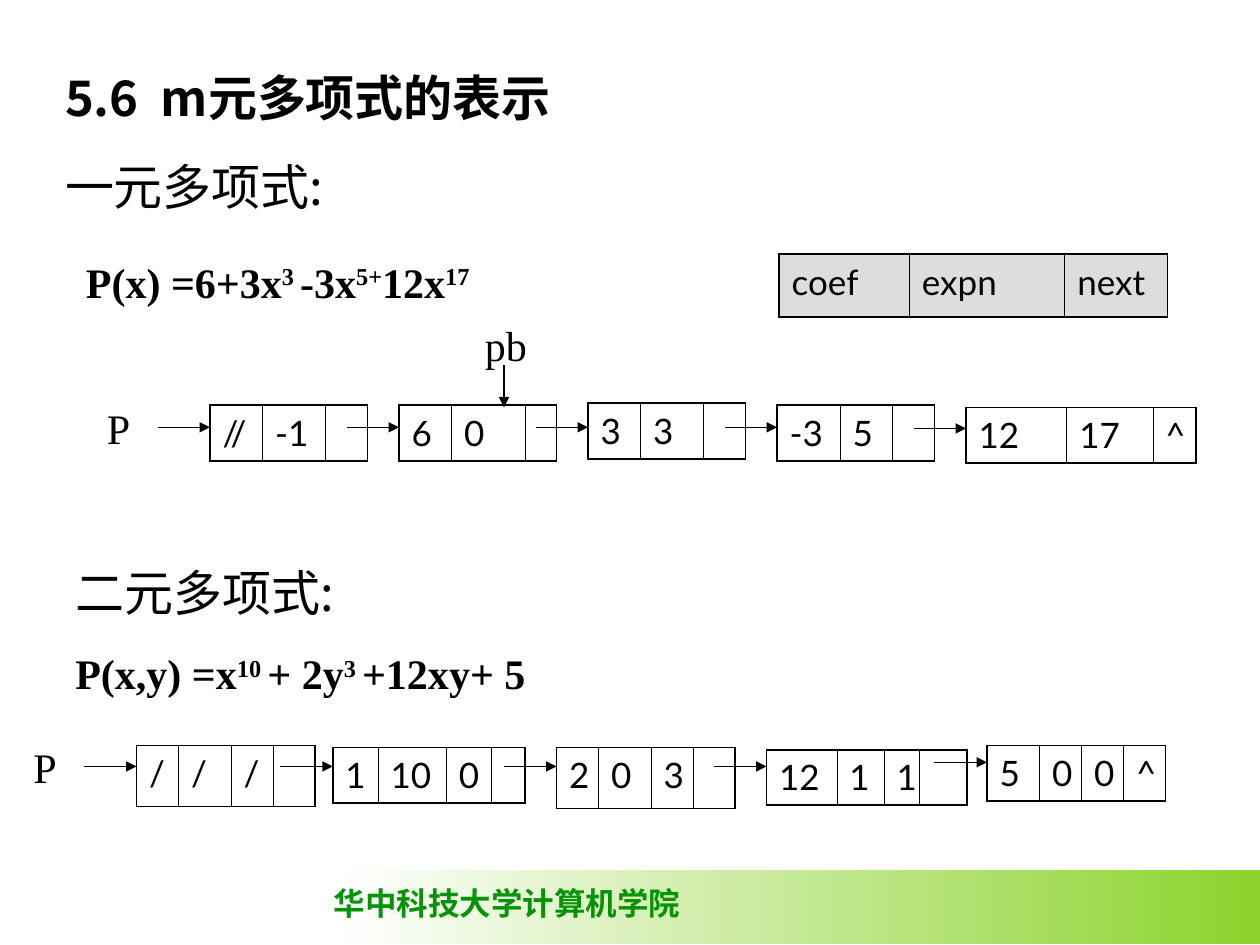
import pptx
import pptx.util
import pptx.dml.color
import pptx.enum.shapes
import pptx.enum.text
import pptx.oxml
import pptx.oxml.ns
from lxml import etree

COLORS = {"ink": "000000", "paper": "FFFFFF", "header": "DDDDDD",
          "leaf": "8CD32D", "school": "069406"}
SERIF, SANS, CJK = "Times New Roman", "Lato", "Noto Sans CJK SC"

# Places are in grid units: the slide is 120 columns by 90 rows
COLUMNS, ROWS = 120, 90
WIDTH, HEIGHT = pptx.util.Inches(10), pptx.util.Inches(7.5)
ARROW_LENGTH = 5

# Paragraphs: (runs, size, font, bold, space before); "^" marks a superscript run
TITLE = [(["5.6  m元多项式的表示"], 28, CJK, True, 0),
         (["一元多项式:"], 28, CJK, False, 17.5)]
TEXTS = [
    ((7, 23.8, 50, 6.7),
     [(["P(x) =6+3x", "^3 ", "-3x", "^5+", "12x", "^17"], 24, SERIF, True, 0)]),
    ((6, 53, 107, 14.8),
     [(["二元多项式:"], 28, CJK, False, 0),
      (["P(x,y) =x", "^10 ", "+ 2y", "^3 ", "+12xy+ 5"], 24, SERIF, True, 15)]),
    ((9, 37.7, 8, 6), [(["P"], 24, SERIF, False, 0)]),
    ((45, 29.8, 8, 6), [(["pb"], 24, SERIF, False, 0)]),
    ((2, 70, 8, 6), [(["P"], 24, SERIF, False, 0)]),
]
SCHOOL = "华中科技大学计算机学院"

# List nodes: (left, top, height, arrow row, column widths, values)
NODES = [
    (20, 38.6, 5.3, 40.7, (5, 6, 4), ("//", "-1", "")),
    (38, 38.6, 5.3, 40.7, (5, 7, 3), ("6", "0", "")),
    (56, 38.4, 5.3, 40.7, (5, 6, 4), ("3", "3", "")),
    (74, 38.6, 5.3, 40.7, (6, 5, 4), ("-3", "5", "")),
    (92, 38.8, 5.3, 40.8, (9.6, 8.2, 4.1), ("12", "17", "^")),
    (13, 71, 5.8, 73, (4, 5, 4, 4), ("/", "/", "/", "")),
    (31.7, 71.2, 5.3, 73, (4.3, 6.5, 4.3, 3.2), ("1", "10", "0", "")),
    (53, 71.2, 5.8, 73, (4, 5, 4, 4), ("2", "0", "3", "")),
    (73, 71.4, 5.3, 73, (6.7, 4.5, 3.4, 4.5), ("12", "1", "1", "")),
    (94, 71, 5.3, 72.6, (5, 4, 4, 4), ("5", "0", "0", "^")),
]
HEADER = (74.2, 24.2, 6, (12.4, 14.8, 9.8), ("coef", "expn", "next"))
POINTER = (48, 34.8, 48, 38.8)


def across(units):
    return round(WIDTH * units / COLUMNS)


def down(units):
    return round(HEIGHT * units / ROWS)


def place(left, top, width, height):
    return across(left), down(top), across(width), down(height)


def rgb(name):
    return pptx.dml.color.RGBColor.from_string(COLORS[name])


def set_font(para, size, name, bold=False, color="ink"):
    font = para.font
    font.size, font.name, font.bold = pptx.util.Pt(size), name, bold
    font.color.rgb = rgb(color)
    defaults = para._p.pPr.find(pptx.oxml.ns.qn("a:defRPr"))
    etree.SubElement(defaults, pptx.oxml.ns.qn("a:ea")).set("typeface", CJK)


def write(box, paragraphs, color="ink", wrap=True):
    frame = box.text_frame
    frame.word_wrap = wrap
    frame.auto_size = pptx.enum.text.MSO_AUTO_SIZE.NONE
    frame.vertical_anchor = pptx.enum.text.MSO_ANCHOR.TOP
    for index, (runs, size, name, bold, before) in enumerate(paragraphs):
        para = frame.add_paragraph() if index else frame.paragraphs[0]
        para.alignment = pptx.enum.text.PP_ALIGN.LEFT
        if before:
            para.space_before = pptx.util.Pt(before)
        if name == CJK:
            para.line_spacing = pptx.util.Pt(size * 1.2)
        set_font(para, size, name, bold, color)
        for text in runs:
            span = para.add_run()
            span.text = text.lstrip("^")
            if text.startswith("^"):
                span.font._element.set("baseline", "30000")


def add_arrow(page, x1, y1, x2, y2):
    arrow = page.shapes.add_connector(pptx.enum.shapes.MSO_CONNECTOR.STRAIGHT,
                                      across(x1), down(y1), across(x2), down(y2))
    arrow.line.color.rgb = rgb("ink")
    arrow.line.width = pptx.util.Pt(0.75)
    head = etree.SubElement(arrow.line._get_or_add_ln(), pptx.oxml.ns.qn("a:tailEnd"))
    head.set("type", "triangle")
    etree.SubElement(arrow._element.spPr, pptx.oxml.ns.qn("a:effectLst"))


def set_border(cell, side, points):
    cell._tc.get_or_add_tcPr().append(pptx.oxml.parse_xml(
        f'<a:ln{side} {pptx.oxml.ns.nsdecls("a")} w="{round(points * 12700)}">'
        f'<a:solidFill><a:srgbClr val="{COLORS["ink"]}"/></a:solidFill></a:ln{side}>'))


def add_node(page, left, top, height, widths, values, fill=None):
    table = page.shapes.add_table(
        1, len(widths), *place(left, top, sum(widths), height)).table
    table.first_row = table.horz_banding = False
    last = len(widths) - 1
    for index, (width, value) in enumerate(zip(widths, values)):
        table.columns[index].width = across(width)
        cell = table.cell(0, index)
        cell.text = value
        set_font(cell.text_frame.paragraphs[0], 20, SANS)
        # Outer edges are heavier than the dividers
        for side, outer in (("L", index == 0), ("R", index == last),
                            ("T", True), ("B", True)):
            set_border(cell, side, 1.08 if outer else 0.45)
        if fill:
            cell.fill.solid()
            cell.fill.fore_color.rgb = rgb(fill)
        else:
            cell.fill.background()


def main():
    deck = pptx.Presentation()
    deck.slide_width, deck.slide_height = WIDTH, HEIGHT
    page = deck.slides.add_slide(deck.slide_layouts[5])

    # Footer band
    band = page.shapes.add_shape(pptx.enum.shapes.MSO_SHAPE.RECTANGLE,
                                 *place(32, 82.9, 88, 7))
    band.shadow.inherit = False
    band.line.fill.background()
    band.fill.gradient()
    band.fill.gradient_angle = 0
    for stop, name in zip(band.fill.gradient_stops, ("paper", "leaf")):
        stop.color.rgb = rgb(name)
    footer = page.shapes.add_textbox(*place(30.6, 83.6, 35.4, 4.8))
    write(footer, [([SCHOOL], 18, SERIF, True, 0)], "school", wrap=False)

    # Title and texts
    title = page.shapes.title
    title.left, title.top, title.width, title.height = place(5, 5.8, 102, 15.4)
    write(title, TITLE)
    for spot, paragraphs in TEXTS:
        write(page.shapes.add_textbox(*place(*spot)), paragraphs)

    # Linked lists, each node reached by an arrow from the left
    add_node(page, *HEADER, fill="header")
    for left, top, height, row, widths, values in NODES:
        add_node(page, left, top, height, widths, values)
        add_arrow(page, left - ARROW_LENGTH, row, left, row)
    add_arrow(page, *POINTER)

    deck.save("out.pptx")


if __name__ == "__main__":
    main()
